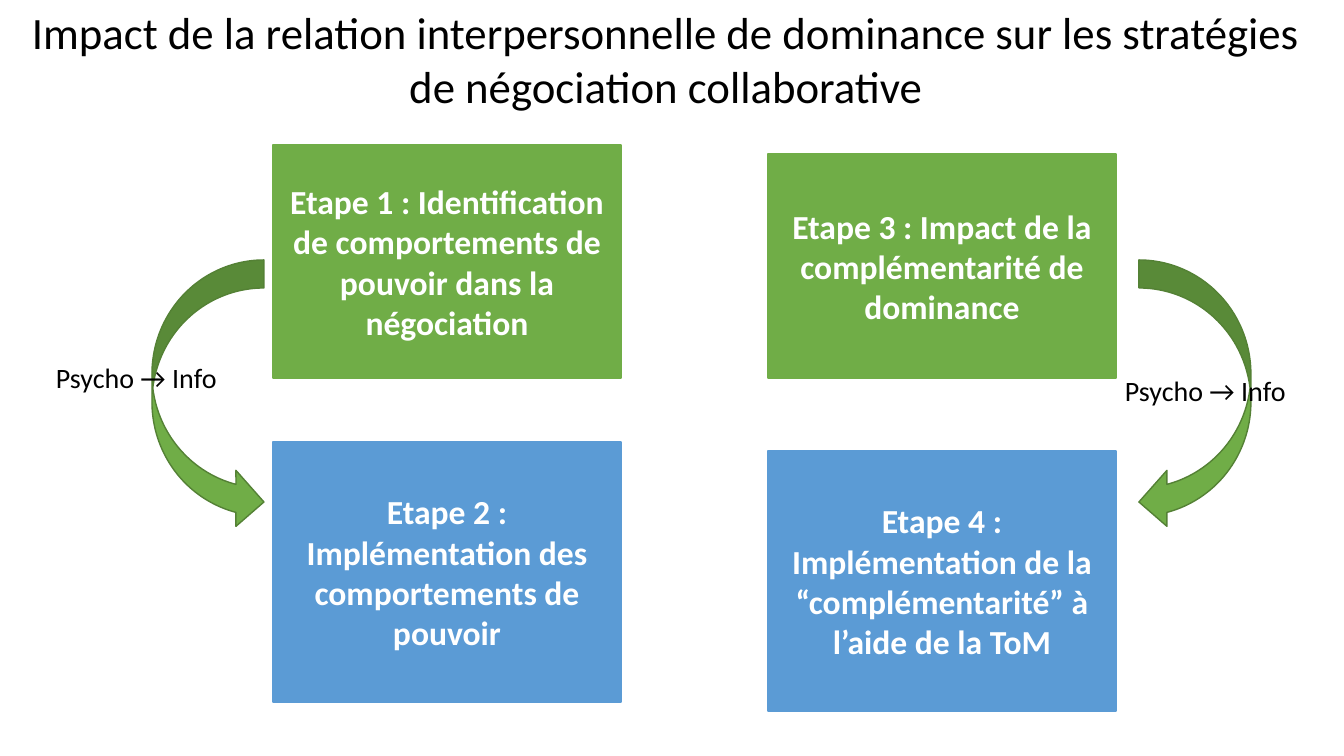
"""Build the slide on dominance and collaborative negotiation strategies."""
from dataclasses import dataclass

from pptx import Presentation
from pptx.dml.color import RGBColor
from pptx.enum.shapes import MSO_SHAPE as Shape
from pptx.enum.text import MSO_ANCHOR as Anchor, MSO_AUTO_SIZE as AutoSize, PP_ALIGN as Align
from pptx.util import Pt

TITLE = ("Impact de la relation interpersonnelle de dominance "
         "sur les stratégies de négociation collaborative")
TITLE_BOX = (20, 0, 1292, 119)
LABEL = "Psycho → Info"
COLUMNS = [
    {
        "left": 273,
        "steps": [
            ("Etape 1 : Identification de comportements de pouvoir dans la négociation", 145, 233, "psycho"),
            ("Etape 2 : Implémentation des comportements de pouvoir", 442, 260, "info"),
        ],
        "arrow_left": 152, "mirrored": False, "label_at": (46, 356),
    },
    {
        "left": 768,
        "steps": [
            ("Etape 3 : Impact de la complémentarité de dominance", 154, 224, "psycho"),
            ("Etape 4 : Implémentation de la “complémentarité” à l’aide de la ToM", 451, 260, "info"),
        ],
        "arrow_left": 1139, "mirrored": True, "label_at": (1115, 369),
    },
]
STEP_WIDTH = 348
ARROW_TOP, ARROW_WIDTH, ARROW_HEIGHT = 260, 112, 270
LABEL_SIZE = (218, 44)
SLIDE_SIZE = (1344, 756)
EMU_PER_PX = 914400 / 100.8


@dataclass(frozen=True)
class Theme:
    font: str = "Calibri"
    text: str = "000000"
    light: str = "FFFFFF"
    psycho: str = "70AD47"
    info: str = "5B9BD5"
    arrow_line: str = "548135"
    title_size: int = 32
    step_size: int = 24
    label_size: int = 20


THEME = Theme()


def px(*lengths):
    return [round(n * EMU_PER_PX) for n in lengths]


def write(sp, text, size, color, align, anchor, bold=False):
    tf = sp.text_frame
    tf.text = text
    tf.word_wrap = True
    tf.auto_size = AutoSize.NONE
    tf.vertical_anchor = anchor
    p = tf.paragraphs[0]
    p.alignment = align
    font = p.runs[0].font
    font.name, font.size, font.bold = THEME.font, Pt(size), bold
    font.color.rgb = RGBColor.from_string(color)


def add_filled(slide, kind, box, fill, line):
    sp = slide.shapes.add_shape(kind, *px(*box))
    sp.shadow.inherit = False
    sp.fill.solid()
    sp.fill.fore_color.rgb = RGBColor.from_string(fill)
    sp.line.color.rgb = RGBColor.from_string(line)
    sp.line.width = Pt(1)
    return sp


def add_column(slide, column):
    for text, top, height, role in column["steps"]:
        color = getattr(THEME, role)
        box = (column["left"], top, STEP_WIDTH, height)
        sp = add_filled(slide, Shape.RECTANGLE, box, color, color)
        write(sp, text, THEME.step_size, THEME.light, Align.CENTER, Anchor.MIDDLE, bold=True)

    box = (column["arrow_left"], ARROW_TOP, ARROW_WIDTH, ARROW_HEIGHT)
    arrow = add_filled(slide, Shape.CURVED_RIGHT_ARROW, box, THEME.psycho, THEME.arrow_line)
    for i, value in enumerate((0.25, 0.5, 0.25)):
        arrow.adjustments[i] = value
    if column["mirrored"]:
        arrow._element.spPr.xfrm.set("flipH", "1")

    label = slide.shapes.add_textbox(*px(*column["label_at"], *LABEL_SIZE))
    write(label, LABEL, THEME.label_size, THEME.text, Align.LEFT, Anchor.TOP)


def main():
    prs = Presentation()
    prs.slide_width, prs.slide_height = px(*SLIDE_SIZE)
    slide = prs.slides.add_slide(prs.slide_layouts[5])
    title = slide.shapes.title
    title.left, title.top, title.width, title.height = px(*TITLE_BOX)
    write(title, TITLE, THEME.title_size, THEME.text, Align.CENTER, Anchor.TOP)
    for column in COLUMNS:
        add_column(slide, column)
    prs.save("out.pptx")


if __name__ == "__main__":
    main()
